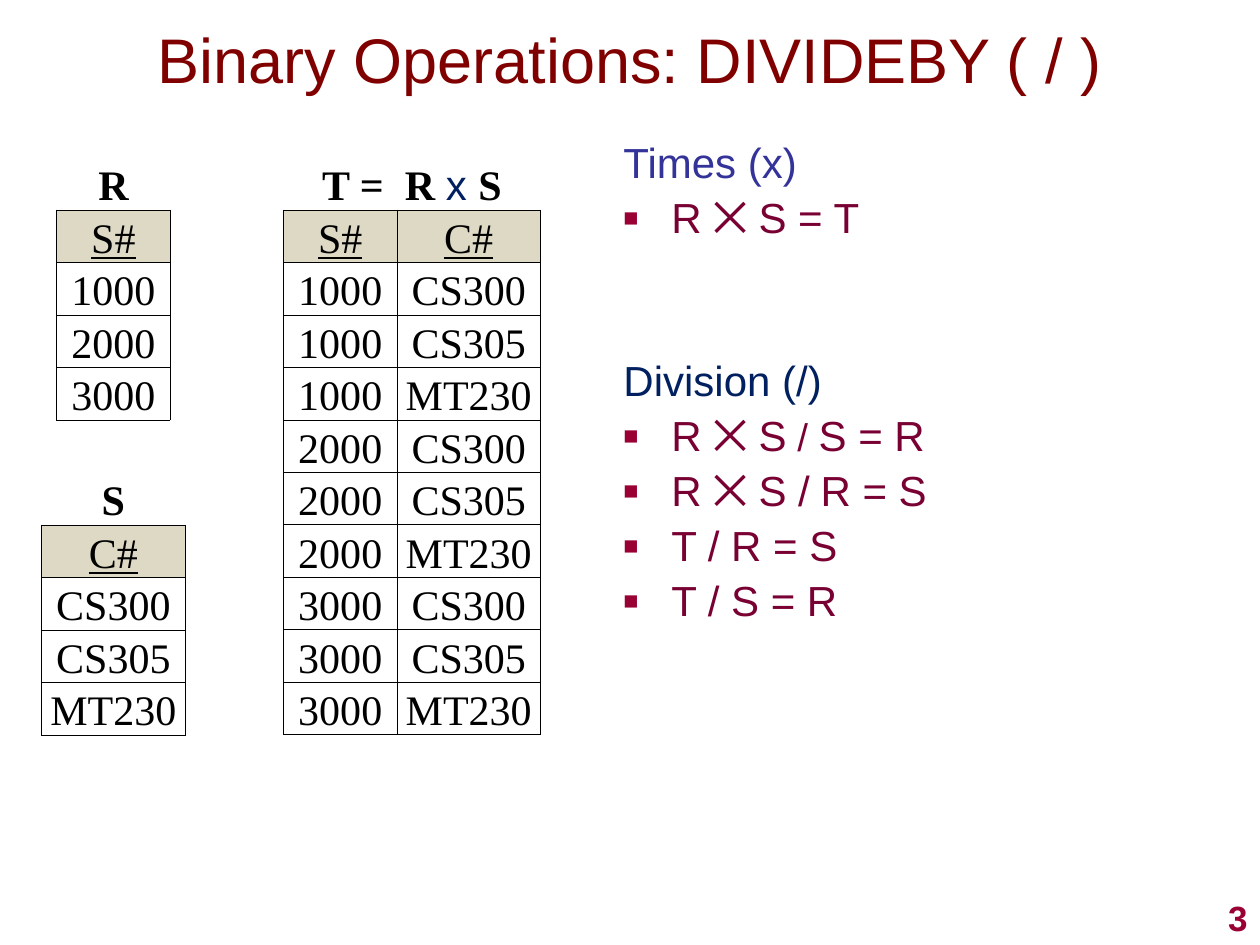
from pptx import Presentation
from pptx.dml.color import RGBColor
from pptx.enum.text import MSO_ANCHOR, PP_ALIGN
from pptx.oxml.ns import qn
from pptx.util import Inches, Pt
from lxml import etree

CENTER, RIGHT = PP_ALIGN.CENTER, PP_ALIGN.RIGHT
MIDDLE, BOTTOM = MSO_ANCHOR.MIDDLE, MSO_ANCHOR.BOTTOM

MAROON = RGBColor(0x80, 0x00, 0x00)
BLUE = RGBColor(0x33, 0x33, 0x99)
NAVY = RGBColor(0x00, 0x20, 0x60)
WINE = RGBColor(0x79, 0x00, 0x33)
CRIMSON = RGBColor(0x99, 0x00, 0x33)
BLACK = RGBColor(0x00, 0x00, 0x00)
WHITE = RGBColor(0xFF, 0xFF, 0xFF)
SAND = RGBColor(0xDD, 0xD9, 0xC4)
SANS, SERIF = "Arial", "Times New Roman"

# Content
TITLE = "Binary Operations: DIVIDEBY ( / )"
PAGE_NUMBER = "3"
STUDENTS = ["1000", "2000", "3000"]
COURSES = ["CS300", "CS305", "MT230"]
STUDENT_WIDTH, COURSE_WIDTH = 0.9, 1.14

# Each relation: left, top, column widths, name as (text, is operator), columns, rows
RELATIONS = [
    (0.45, 1.25, [STUDENT_WIDTH], [("R", False)], ["S#"], [[s] for s in STUDENTS]),
    (0.33, 3.75, [COURSE_WIDTH], [("S", False)], ["C#"], [[c] for c in COURSES]),
    (2.25, 1.25, [STUDENT_WIDTH, COURSE_WIDTH],
     [("T =  R ", False), ("x ", True), ("S", False)],
     ["S#", "C#"], [[s, c] for s in STUDENTS for c in COURSES]),
]
ROW_HEIGHT = 5 / 12

# Each rule group: heading, colour, space before, equations as (text, size) runs
RULES = [
    ("Times (x)", BLUE, 0, [[("R ⨉ S = T", 24)]]),
    ("Division (/)", NAVY, 67.5, [
        [("R ⨉ S", 24), (" / ", 22), ("S = R", 24)],
        [("R ⨉ S /", 24), (" ", 22), ("R = S", 24)],
        [("T / R = S", 24)],
        [("T / S = R", 24)],
    ]),
]
EQUATION_SPACE = 5.5


def add_run(paragraph, text, size, color, font=SANS, bold=False, underline=False):
    run = paragraph.add_run()
    run.text = text
    run.font.size = Pt(size)
    run.font.name = font
    run.font.bold = bold
    run.font.underline = underline
    run.font.color.rgb = color


def add_square_bullet(paragraph):
    props = paragraph._p.get_or_add_pPr()
    indent = Inches(0.38)
    props.set("marL", str(indent))
    props.set("indent", str(-indent))
    color = etree.SubElement(props, qn("a:buClr"))
    etree.SubElement(color, qn("a:srgbClr"), val=str(CRIMSON))
    etree.SubElement(props, qn("a:buSzPct"), val="60000")
    etree.SubElement(props, qn("a:buFont"), typeface=SANS)
    etree.SubElement(props, qn("a:buChar"), char="■")


def set_borders(cell, visible_sides):
    props = cell._tc.get_or_add_tcPr()
    for side in "LRTB":
        line = etree.SubElement(props, qn(f"a:ln{side}"), w=str(Pt(0.5)))
        if side in visible_sides:
            fill = etree.SubElement(line, qn("a:solidFill"))
            etree.SubElement(fill, qn("a:srgbClr"), val=str(BLACK))
        else:
            etree.SubElement(line, qn("a:noFill"))


def format_cell(cell, fill, sides="LRTB"):
    set_borders(cell, sides)
    cell.fill.solid()
    cell.fill.fore_color.rgb = fill
    cell.vertical_anchor = BOTTOM
    cell.margin_left = cell.margin_right = cell.margin_top = Inches(0.01)
    cell.margin_bottom = 0
    paragraph = cell.text_frame.paragraphs[0]
    paragraph.alignment = CENTER
    return paragraph


def add_relation(slide, left, top, widths, name, columns, rows):
    row_count = len(rows) + 2
    table = slide.shapes.add_table(
        row_count, len(widths), Inches(left), Inches(top),
        Inches(sum(widths)), Inches(ROW_HEIGHT * row_count)).table
    table.first_row = table.horz_banding = False
    for column, width in zip(table.columns, widths):
        column.width = Inches(width)
    for row in table.rows:
        row.height = Inches(ROW_HEIGHT)

    # Relation name across the top
    if len(widths) > 1:
        table.cell(0, 0).merge(table.cell(0, len(widths) - 1))
    names = [format_cell(table.cell(0, c), WHITE, "B") for c in range(len(widths))]
    for text, is_operator in name:
        color, font = (NAVY, SANS) if is_operator else (BLACK, SERIF)
        add_run(names[0], text, 24, color, font, bold=not is_operator)

    # Column heads, then tuples
    for r, values in enumerate([columns] + rows, start=1):
        is_head = r == 1
        for c, value in enumerate(values):
            paragraph = format_cell(table.cell(r, c), SAND if is_head else WHITE)
            add_run(paragraph, value, 24, BLACK, SERIF, underline=is_head)


def add_rules(slide):
    frame = slide.shapes.add_textbox(
        Inches(4.85), Inches(1.08), Inches(4.9), Inches(6)).text_frame
    frame.word_wrap = True
    frame.margin_right = 0
    paragraph = frame.paragraphs[0]
    for heading, color, space, equations in RULES:
        if space:
            paragraph = frame.add_paragraph()
        paragraph.line_spacing = 0.9
        paragraph.space_before = Pt(space)
        add_run(paragraph, heading, 24, color)
        for equation in equations:
            paragraph = frame.add_paragraph()
            paragraph.line_spacing = 0.9
            paragraph.space_before = Pt(EQUATION_SPACE)
            add_square_bullet(paragraph)
            for text, size in equation:
                add_run(paragraph, text, size, WINE)


def main():
    deck = Presentation()
    deck.slide_width, deck.slide_height = Inches(10), Inches(7.5)
    slide = deck.slides.add_slide(deck.slide_layouts[5])

    # Title
    title = slide.shapes.title
    title.left, title.top = 0, 0
    title.width, title.height = Inches(10), Inches(0.92)
    title.text_frame.vertical_anchor = MIDDLE
    heading = title.text_frame.paragraphs[0]
    heading.alignment = CENTER
    add_run(heading, TITLE, 36, MAROON)

    # Rules and relations
    add_rules(slide)
    for relation in RELATIONS:
        add_relation(slide, *relation)

    # Page number
    footer = slide.shapes.add_textbox(
        Inches(7.92), Inches(7), Inches(2.08), Inches(0.5)).text_frame
    footer.word_wrap = True
    footer.vertical_anchor = BOTTOM
    footer.paragraphs[0].alignment = RIGHT
    add_run(footer.paragraphs[0], PAGE_NUMBER, 20, CRIMSON, bold=True)

    deck.save("out.pptx")


if __name__ == "__main__":
    main()
